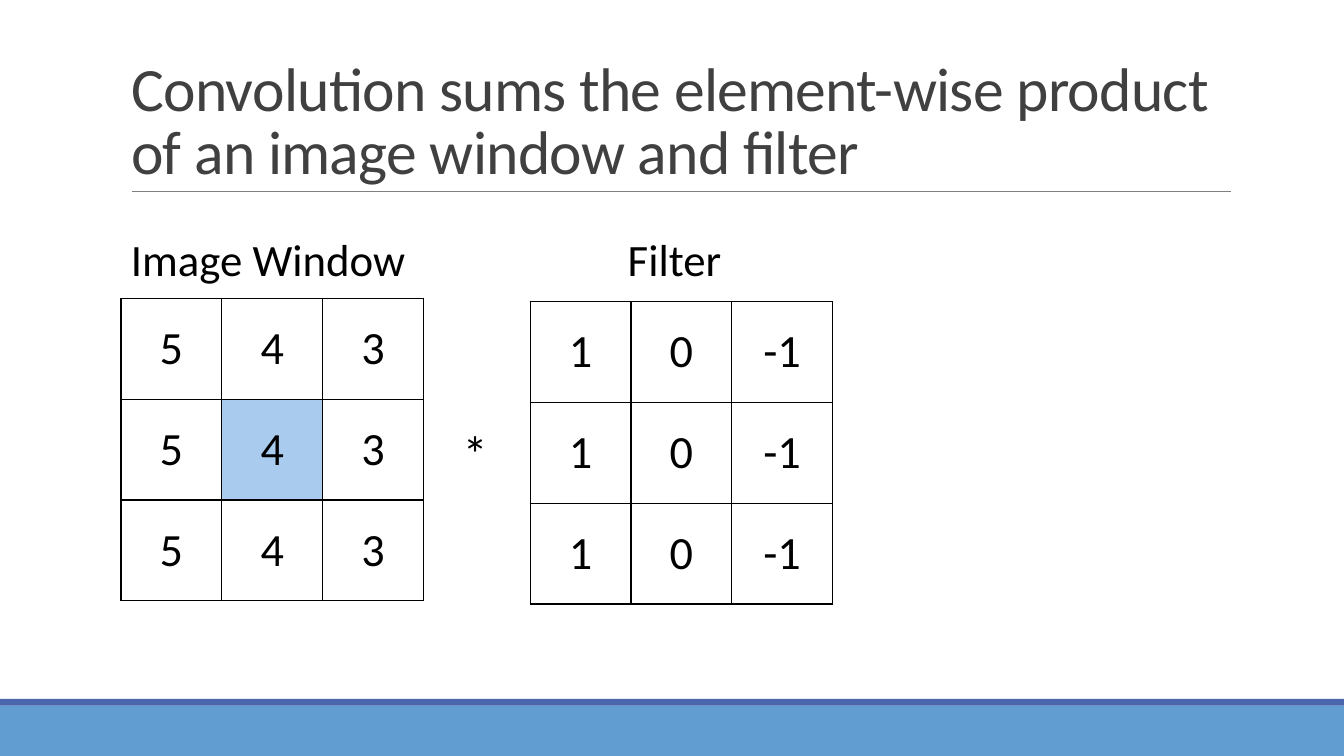
from dataclasses import dataclass

from lxml.etree import SubElement
from pptx import Presentation
from pptx.dml.color import RGBColor
from pptx.enum.shapes import MSO_CONNECTOR, MSO_SHAPE
from pptx.enum.text import MSO_ANCHOR, MSO_AUTO_SIZE, PP_ALIGN
from pptx.oxml.ns import qn
from pptx.util import Cm, Pt


@dataclass(frozen=True)
class Theme:
    font: str = "Calibri"
    title: str = "404040"
    text: str = "000000"
    rule: str = "808080"
    band: str = "629DD1"
    stripe: str = "4A66AC"
    paper: str = "FFFFFF"
    highlight: str = "A9CCEE"
    title_size: float = 44
    label_size: float = 32
    cell_size: float = 33
    operator_size: float = 36
    border_width: float = 1


THEME = Theme()
SLIDE_WIDTH, SLIDE_HEIGHT = 33.87, 19.05
CELL = 2.54
IMAGE_WINDOW = [[5, 4, 3]] * 3
FILTER = [[1, 0, -1]] * 3


def color(value):
    return RGBColor.from_string(value)


def add_run(paragraph, text, size, text_color=THEME.text):
    run = paragraph.add_run()
    run.text = text
    run.font.name = THEME.font
    run.font.size = Pt(size)
    run.font.color.rgb = color(text_color)
    return run


def add_bar(slide, left, top, width, height, fill):
    bar = slide.shapes.add_shape(
        MSO_SHAPE.RECTANGLE, Cm(left), Cm(top), Cm(width), Cm(height))
    bar.shadow.inherit = False
    bar.fill.solid()
    bar.fill.fore_color.rgb = color(fill)
    bar.line.fill.background()


def add_footer(slide, band_height, stripe_height):
    band_top = SLIDE_HEIGHT - band_height
    add_bar(slide, 0, band_top, SLIDE_WIDTH, band_height, THEME.band)
    add_bar(slide, 0, band_top - stripe_height, SLIDE_WIDTH, stripe_height, THEME.stripe)


def add_title(slide, text, left, top, width, height):
    title = slide.shapes.title
    title.left, title.top, title.width, title.height = map(Cm, (left, top, width, height))
    frame = title.text_frame
    frame.word_wrap = True
    frame.auto_size = MSO_AUTO_SIZE.NONE
    frame.vertical_anchor = MSO_ANCHOR.BOTTOM
    paragraph = frame.paragraphs[0]
    paragraph.alignment = PP_ALIGN.LEFT
    paragraph.line_spacing = 0.85
    paragraph.space_before = Pt(0)
    run = add_run(paragraph, text, THEME.title_size, THEME.title)
    run.font._element.set("spc", "-50")

    bottom = Cm(top + height)
    rule = slide.shapes.add_connector(
        MSO_CONNECTOR.STRAIGHT, Cm(left + 0.27), bottom, Cm(left + width + 0.02), bottom)
    rule.line.color.rgb = color(THEME.rule)
    rule.line.width = Pt(0.5)
    SubElement(rule._element.spPr, qn("a:effectLst"))


def add_label(slide, text, size, left, top, width, height):
    box = slide.shapes.add_textbox(Cm(left), Cm(top), Cm(width), Cm(height))
    box.text_frame.word_wrap = False
    box.text_frame.auto_size = MSO_AUTO_SIZE.SHAPE_TO_FIT_TEXT
    add_run(box.text_frame.paragraphs[0], text, size)


def add_borders(cell):
    properties = cell._tc.get_or_add_tcPr()
    for index, side in enumerate(("lnL", "lnR", "lnT", "lnB")):
        line = properties.makeelement(
            qn(f"a:{side}"), {"w": str(Pt(THEME.border_width))})
        fill = SubElement(line, qn("a:solidFill"))
        SubElement(fill, qn("a:srgbClr"), val=THEME.text)
        properties.insert(index, line)


def add_matrix(slide, values, left, top, highlighted=None):
    rows, columns = len(values), len(values[0])
    table = slide.shapes.add_table(
        rows, columns, Cm(left), Cm(top), Cm(columns * CELL), Cm(rows * CELL)).table
    table.first_row = False
    table.horz_banding = False
    for row, row_values in enumerate(values):
        for column, value in enumerate(row_values):
            cell = table.cell(row, column)
            cell.vertical_anchor = MSO_ANCHOR.MIDDLE
            if (row, column) == highlighted:
                cell.fill.solid()
                cell.fill.fore_color.rgb = color(THEME.highlight)
            else:
                cell.fill.background()
            add_borders(cell)
            paragraph = cell.text_frame.paragraphs[0]
            paragraph.alignment = PP_ALIGN.CENTER
            add_run(paragraph, str(value), THEME.cell_size)


def add_convolution(slide, left, top):
    add_label(slide, "Image Window", THEME.label_size, left, top, 7.52, 1.62)
    add_label(slide, "Filter", THEME.label_size, left + 12.52, top, 2.9, 1.62)
    add_label(slide, "*", THEME.operator_size, left + 8.36, top + 4.8, 1.14, 1.8)
    add_matrix(slide, FILTER, left + 10.31, top + 1.88)
    add_matrix(slide, IMAGE_WINDOW, left, top + 1.8, highlighted=(1, 1))


def main():
    presentation = Presentation()
    presentation.slide_width = Cm(SLIDE_WIDTH)
    presentation.slide_height = Cm(SLIDE_HEIGHT)
    slide = presentation.slides.add_slide(presentation.slide_layouts[5])
    slide.background.fill.solid()
    slide.background.fill.fore_color.rgb = color(THEME.paper)
    add_footer(slide, 1.27, 0.17)
    add_title(slide, "Convolution sums the element-wise product of an image window and filter",
              3.05, 0.8, 27.94, 4.03)
    add_convolution(slide, 3.05, 5.72)
    presentation.save("out.pptx")


if __name__ == "__main__":
    main()
